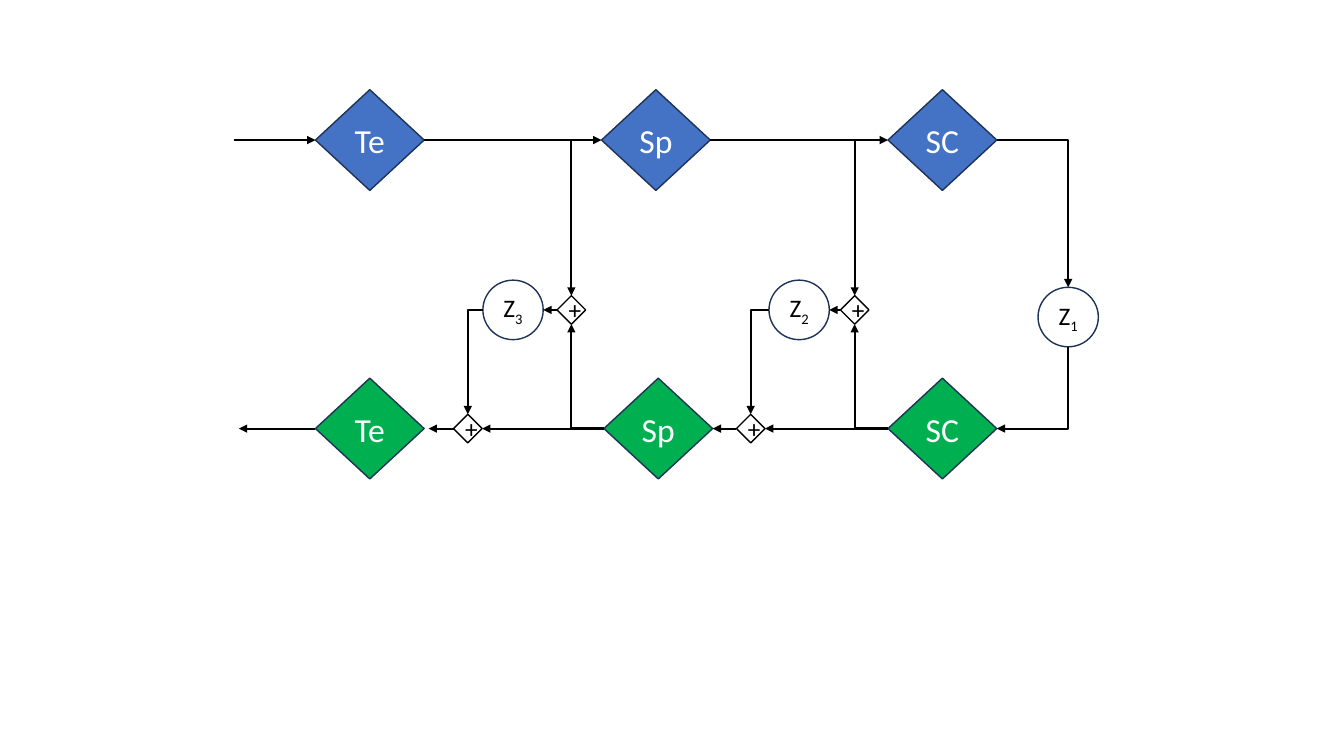
from lxml import etree
from pptx import Presentation
from pptx import util as u
from pptx.dml.color import RGBColor
from pptx.enum import shapes, text
from pptx.oxml import ns

COLORS = {"encoder": "4472C4", "decoder": "00B050", "edge": "1E3256",
          "black": "000000", "white": "FFFFFF"}
BLOCK = (2.74, 2.54)
CIRCLE = (1.52, 1.5)
SUM = (0.72, 0.72)
HALF_BLOCK, HALF_CIRCLE, HALF_SUM = BLOCK[0] / 2, CIRCLE[0] / 2, SUM[0] / 2
TOP, MIDDLE, BOTTOM = 3.53, 7.81, 10.8
TE, SP, SC = 9.32, 16.53, 23.75
SP_DECODER = 16.59
Z1_X, Z1_Y = 26.92, 7.99


def rgb(name):
    return RGBColor.from_string(COLORS[name])


def add_node(s, kind, center, size, label, fmt, fill=None, edge="edge", sub=None):
    (x, y), (w, h) = center, size
    sp = s.shapes.add_shape(kind, u.Cm(x - w / 2), u.Cm(y - h / 2), u.Cm(w), u.Cm(h))
    sp.shadow.inherit = False
    if fill:
        sp.fill.solid()
        sp.fill.fore_color.rgb = rgb(fill)
    else:
        sp.fill.background()
    sp.line.color.rgb = rgb(edge)
    sp.line.width = u.Pt(1)
    tf = sp.text_frame
    tf.vertical_anchor = text.MSO_ANCHOR.MIDDLE
    p = tf.paragraphs[0]
    p.alignment = text.PP_ALIGN.CENTER
    for part in filter(None, (label, sub)):
        r = p.add_run()
        r.text = part
        for name, value in fmt.items():
            setattr(r.font, name, value)
        r.font.color.rgb = rgb("white" if fill else "black")
    if sub:
        r._r.get_or_add_rPr().set("baseline", "-25000")


def add_block(s, x, y, label, fill):
    add_node(s, shapes.MSO_SHAPE.FLOWCHART_DECISION, (x, y), BLOCK, label,
             {"size": u.Pt(24), "name": "Calibri"}, fill)


def add_latent(s, x, y, index):
    add_node(s, shapes.MSO_SHAPE.OVAL, (x, y), CIRCLE, "Z",
             {"size": u.Pt(18), "name": "Calibri"}, sub=index)


def add_sum(s, x, y):
    add_node(s, shapes.MSO_SHAPE.DIAMOND, (x, y), SUM, "+",
             {"size": u.Pt(18), "name": "Calibri"}, edge="black")


def add_arrow(s, x1, y1, x2, y2, kind=shapes.MSO_CONNECTOR.STRAIGHT):
    c = s.shapes.add_connector(kind, u.Cm(x1), u.Cm(y1), u.Cm(x2), u.Cm(y2))
    c.line.color.rgb = rgb("black")
    c.line.width = u.Pt(1.5)
    etree.SubElement(c.line._get_or_add_ln(), ns.qn("a:tailEnd"), type="triangle")
    etree.SubElement(c._element.spPr, ns.qn("a:effectLst"))
    return c


def add_elbow(s, x1, y1, x2, y2):
    c = add_arrow(s, x1, y1, x2, y2, shapes.MSO_CONNECTOR.ELBOW)
    c._element.spPr.find(ns.qn("a:prstGeom")).set("prst", "bentConnector2")
    return c


def add_down_left_elbow(s, x1, y1, x2, y2):
    cx, cy = (x1 + x2) / 2, (y1 + y2) / 2
    dx, dy = (y2 - y1) / 2, (x1 - x2) / 2
    c = add_elbow(s, cx - dx, cy - dy, cx + dx, cy + dy)
    c._element.spPr.find(ns.qn("a:xfrm")).set("rot", "5400000")


def add_skip(s, index, encoder_x, latent_x, upper_x, lower_x, source_x, target_end):
    add_latent(s, latent_x, MIDDLE, index)
    add_sum(s, upper_x, MIDDLE)
    add_sum(s, lower_x, BOTTOM)
    source = source_x - HALF_BLOCK
    add_elbow(s, encoder_x + HALF_BLOCK, TOP, upper_x, MIDDLE - HALF_SUM)
    add_elbow(s, source, BOTTOM, upper_x, MIDDLE + HALF_SUM)
    add_elbow(s, latent_x - HALF_CIRCLE, MIDDLE, lower_x, BOTTOM - HALF_SUM)
    add_arrow(s, upper_x - HALF_SUM, MIDDLE, latent_x + HALF_CIRCLE, MIDDLE)
    add_arrow(s, source, BOTTOM, lower_x + HALF_SUM, BOTTOM)
    add_arrow(s, lower_x - HALF_SUM, BOTTOM, target_end, BOTTOM)


def main():
    prs = Presentation()
    prs.slide_width, prs.slide_height = u.Cm(33.87), u.Cm(19.05)
    s = prs.slides.add_slide(prs.slide_layouts[6])

    for label, x, decoder_x in (("Te", TE, TE), ("Sp", SP, SP_DECODER), ("SC", SC, SC)):
        add_block(s, x, TOP, label, "encoder")
        add_block(s, decoder_x, BOTTOM, label, "decoder")

    add_arrow(s, 5.89, TOP, TE - HALF_BLOCK, TOP)
    for left, right in ((TE, SP), (SP, SC)):
        add_arrow(s, left + HALF_BLOCK, TOP, right - HALF_BLOCK, TOP)
    add_arrow(s, TE - HALF_BLOCK, BOTTOM, 6.02, BOTTOM)

    add_latent(s, Z1_X, Z1_Y, "1")
    add_elbow(s, SC + HALF_BLOCK, TOP, Z1_X, Z1_Y - CIRCLE[1] / 2)
    add_down_left_elbow(s, Z1_X, Z1_Y + CIRCLE[1] / 2, SC + HALF_BLOCK, BOTTOM)

    add_skip(s, "2", SP, 20.14, 21.54, 18.92, SC, SP_DECODER + HALF_BLOCK)
    add_skip(s, "3", TE, 12.93, 14.4, 11.79, SP_DECODER, 10.8)

    prs.save("out.pptx")


if __name__ == "__main__":
    main()
